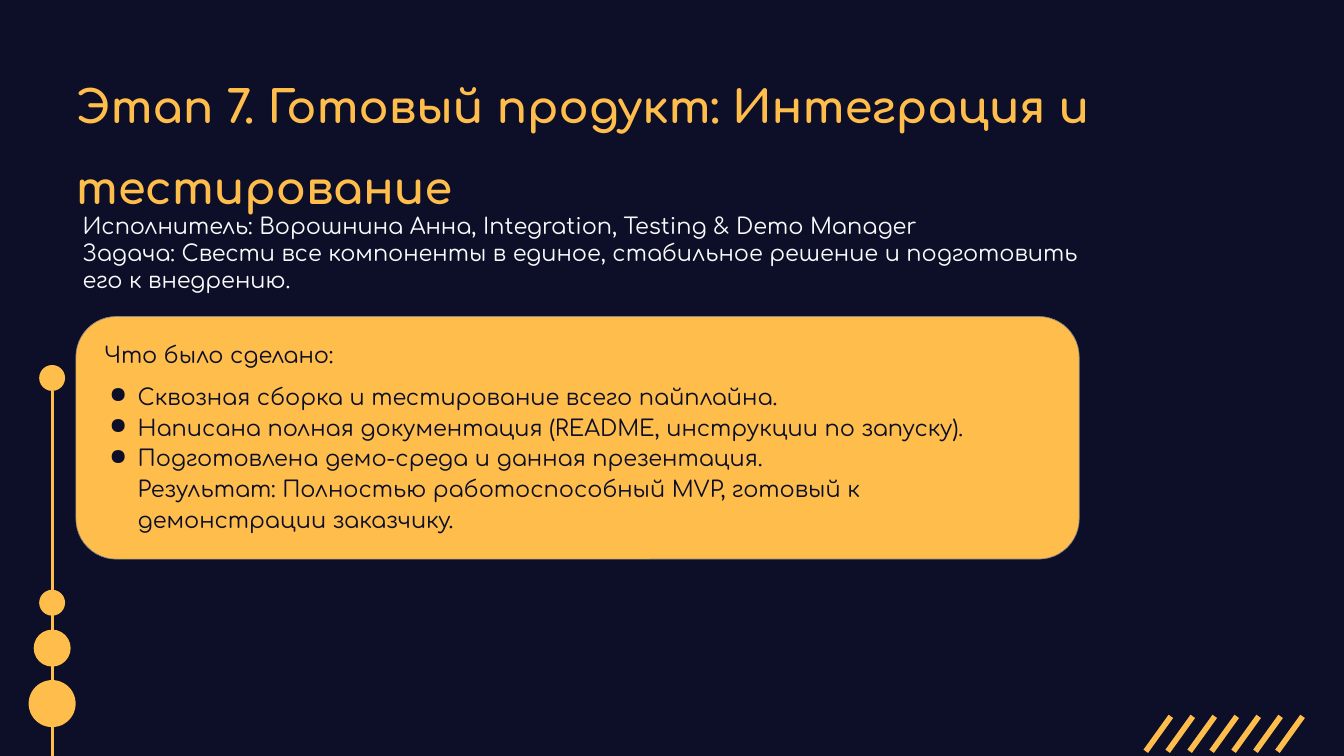
from lxml import etree
from pptx import Presentation
from pptx.dml.color import RGBColor as RGB
from pptx.enum.shapes import MSO_CONNECTOR as CONN, MSO_SHAPE as SHAPE
from pptx.enum.text import MSO_ANCHOR as ANCHOR, MSO_AUTO_SIZE as AUTO, PP_ALIGN as ALIGN
from pptx.oxml.ns import qn
from pptx.util import Inches, Pt

C = {"bg": "0C0F27", "accent": "FFBD4C", "light": "F9FAFB", "edge": "888888"}
FONT = "Comfortaa"

prs = Presentation()
prs.slide_width, prs.slide_height = Inches(20), Inches(11.25)
col, row = prs.slide_width / 100, prs.slide_height / 100
s = prs.slides.add_slide(prs.slide_layouts[5])
s.background.fill.solid()
s.background.fill.fore_color.rgb = RGB.from_string(C["bg"])


def write(tf, text, size=24, color="bg", bold=False, spacing=1.0, before=0, bullet=None, first=False):
    p = tf.paragraphs[0] if first else tf.add_paragraph()
    p.text = text
    p.alignment, p.line_spacing, p.space_before = ALIGN.LEFT, spacing, Pt(before)
    for r in p.runs:
        r.font.name, r.font.size, r.font.bold = FONT, Pt(size), bold
        r.font.color.rgb = RGB.from_string(C[color])
    if bullet:
        pPr = p._p.get_or_add_pPr()
        pPr.set("marL", str(Inches(0.5)))
        pPr.set("indent", str(Inches(-0.42)))
        clr = etree.SubElement(pPr, qn("a:buClr"))
        etree.SubElement(clr, qn("a:srgbClr"), val=C[color])
        etree.SubElement(pPr, qn("a:buChar"), char=bullet)


def line(shapes, x1, y1, x2, y2, width):
    c = shapes.add_connector(CONN.STRAIGHT, int(x1 * col), int(y1 * row), int(x2 * col), int(y2 * row))
    c.line.color.rgb, c.line.width = RGB.from_string(C["accent"]), Pt(width)
    etree.SubElement(c._element.spPr, qn("a:effectLst"))


axis = 3.88
line(s.shapes, axis, 100, axis, 51.7, 3)
for y, d in [(93.07, 3.5), (85.73, 2.75), (79.73, 1.93), (50, 1.93)]:
    size = int(d * col)
    sp = s.shapes.add_shape(SHAPE.OVAL, int(axis * col) - size // 2, int(y * row) - size // 2, size, size)
    sp.shadow.inherit = False
    sp.fill.solid()
    sp.fill.fore_color.rgb = RGB.from_string(C["accent"])
    sp.line.fill.background()

title = s.shapes.title
title.left, title.top = int(5.65 * col), int(6.84 * row)
title.width, title.height = int(86.2 * col), int(91.56 * row)
tf = title.text_frame
tf.margin_left = tf.margin_right = tf.margin_top = tf.margin_bottom = 0
tf.word_wrap, tf.auto_size, tf.vertical_anchor = True, AUTO.NONE, ANCHOR.TOP
write(tf, "Этап 7. Готовый продукт: Интеграция и тестирование",
      size=48, color="accent", bold=True, spacing=1.5, before=24, first=True)

hatch = s.shapes.add_group_shape()
for i in range(7):
    x = 85.25 + i * 9.8 / 6
    line(hatch.shapes, x, 99.38, x + 1.87, 94.76, 6)

card = s.shapes.add_shape(SHAPE.ROUNDED_RECTANGLE, int(5.65 * col), int(41.87 * row),
                          int(74.65 * col), int(32.09 * row))
card.shadow.inherit = False
card.fill.solid()
card.fill.fore_color.rgb = RGB.from_string(C["accent"])
card.line.color.rgb, card.line.width = RGB.from_string(C["edge"]), Pt(0.75)

intro = [
    ("Исполнитель: Ворошнина Анна, Integration, Testing & Demo Manager", {"color": "light"}),
    ("Задача: Свести все компоненты в единое, стабильное решение и подготовить его к внедрению.",
     {"color": "light"}),
]
done = [
    ("Что было сделано:", {"spacing": 1.15, "before": 12}),
    ("Сквозная сборка и тестирование всего пайплайна.", {"spacing": 1.15, "before": 12, "bullet": "●"}),
    ("Написана полная документация (README, инструкции по запуску).", {"spacing": 1.15, "bullet": "●"}),
    ("Подготовлена демо-среда и данная презентация.\v"
     "Результат: Полностью работоспособный MVP, готовый к демонстрации заказчику.",
     {"spacing": 1.15, "bullet": "●"}),
]
for x, y, w, h, paragraphs in [(5.65, 27.2, 75.65, 18.04, intro), (7.25, 43.64, 71.35, 48.36, done)]:
    tf = s.shapes.add_textbox(int(x * col), int(y * row), int(w * col), int(h * row)).text_frame
    tf.margin_left = tf.margin_right = tf.margin_top = tf.margin_bottom = Inches(0.1)
    tf.word_wrap = True
    for i, (text, fmt) in enumerate(paragraphs):
        write(tf, text, first=i == 0, **fmt)

prs.save("out.pptx")
